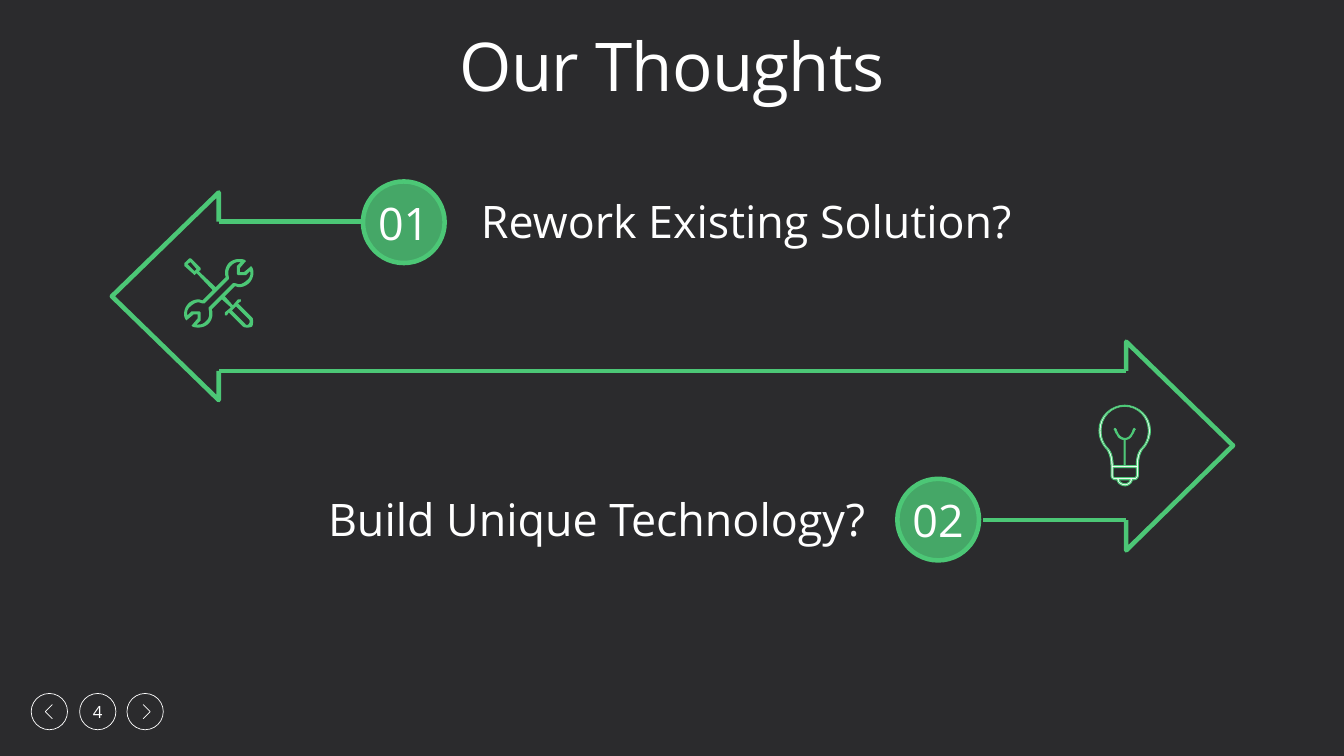
from lxml.etree import SubElement
from pptx import Presentation
from pptx.dml.color import RGBColor
from pptx.enum.shapes import MSO_CONNECTOR, MSO_SHAPE
from pptx.enum.text import MSO_ANCHOR as Anchor, MSO_AUTO_SIZE as AutoSize, PP_ALIGN as Align
from pptx.oxml.ns import qn
from pptx.util import Inches, Pt

GREEN, WHITE, DARK = "4CC776", "FFFFFF", "2B2B2D"

color = RGBColor.from_string
deck = Presentation()
deck.slide_width, deck.slide_height = Inches(13.33), Inches(7.5)
page = deck.slides.add_slide(deck.slide_layouts[5])
page.background.fill.solid()
page.background.fill.fore_color.rgb = color(DARK)
shapes = page.shapes


def write(box, text, size, align=Align.CENTER, anchor=Anchor.MIDDLE, spacing=None,
          wrap=True, margins=(0.1, 0.05, 0.1, 0.05), tracking=None):
    """Set one formatted line of text; margins are left, top, right, bottom."""
    frame = box.text_frame
    frame.word_wrap, frame.auto_size, frame.vertical_anchor = wrap, AutoSize.NONE, anchor
    (frame.margin_left, frame.margin_top,
     frame.margin_right, frame.margin_bottom) = map(Inches, margins)
    para = frame.paragraphs[0]
    para.alignment, para.line_spacing = align, spacing
    span = para.add_run()
    span.text = text
    span.font.name, span.font.size = "Open Sans", Pt(size)
    span.font.color.rgb = color(WHITE)
    if tracking is not None:
        span._r.get_or_add_rPr().set("spc", str(tracking))


def draw_outline(contours, close=True, fill=None, line=None, width=0.5):
    """Draw contours of (x, y) points and (x1, y1, x2, y2, x, y) curves as one shape."""
    builder = None
    for contour in contours:
        points = [contour[0]]
        for step in contour[1:]:
            if len(step) == 2:
                points.append(step)
                continue
            start, first, second, end = points[-1], step[:2], step[2:4], step[4:]
            for t in (i / 8 for i in range(1, 9)):
                points.append(tuple(
                    (1 - t) ** 3 * a + 3 * (1 - t) ** 2 * t * b + 3 * (1 - t) * t ** 2 * c + t ** 3 * d
                    for a, b, c, d in zip(start, first, second, end)))
        spots = [(Inches(x), Inches(y)) for x, y in points]
        if builder is None:
            builder = shapes.build_freeform(*spots[0], scale=1.0)
        else:
            builder.move_to(*spots[0])
        builder.add_line_segments(spots[1:], close=close)
    shape = builder.convert_to_shape()
    shape.shadow.inherit = False
    if fill:
        shape.fill.solid()
        shape.fill.fore_color.rgb = color(fill)
    else:
        shape.fill.background()
    if line:
        shape.line.color.rgb = color(line)
        shape.line.width = Pt(width)
    else:
        shape.line.fill.background()


# Title
title = shapes.title
title.left, title.top, title.width, title.height = map(Inches, (1, 0.31, 11.33, 0.89))
write(title, "Our Thoughts", 48, anchor=Anchor.TOP, spacing=0.86, tracking=-50)

# Page navigation
for left, label in ((0.31, None), (0.79, "4"), (1.26, None)):
    ring = shapes.add_shape(MSO_SHAPE.OVAL, Inches(left), Inches(6.88), Inches(0.36), Inches(0.36))
    ring.shadow.inherit = False
    ring.fill.background()
    ring.line.color.rgb = color(WHITE)
    ring.line.width = Pt(0.5)
    if label:
        write(ring, label, 12, wrap=False)
for base, tip in ((0.52, 0.45), (1.42, 1.49)):
    draw_outline([[(base, 7.13), (tip, 7.06), (base, 6.99)]], close=False, line=WHITE)

# Two interlocking arrows
draw_outline([[(2.17, 2.2), (2.17, 1.91), (1.11, 2.94), (2.17, 3.97), (2.17, 3.68)]],
             close=False, line=GREEN, width=3.25)
draw_outline([[(11.17, 5.16), (11.17, 5.46), (12.23, 4.42), (11.17, 3.39), (11.17, 3.68)]],
             close=False, line=GREEN, width=3.25)
for start, end, y in ((2.17, 3.58, 2.2), (2.17, 11.17, 3.68), (9.75, 11.17, 5.16)):
    shaft = shapes.add_connector(MSO_CONNECTOR.STRAIGHT, Inches(start), Inches(y), Inches(end), Inches(y))
    shaft.line.color.rgb = color(GREEN)
    shaft.line.width = Pt(3.25)
    SubElement(shaft._element.spPr, qn("a:effectLst"))

# Numbered options
options = (
    ("01", 3.6, 1.8, "Rework Existing Solution?", 4.64, 1.94, Align.LEFT),
    ("02", 8.9, 4.75, "Build Unique Technology?", 2.83, 4.89, Align.RIGHT),
)
for number, left, top, text, text_left, text_top, align in options:
    badge = shapes.add_shape(MSO_SHAPE.OVAL, Inches(left), Inches(top), Inches(0.81), Inches(0.81))
    badge.shadow.inherit = False
    badge.fill.solid()
    badge.fill.fore_color.rgb = color(GREEN)
    tint = badge._element.spPr.find(qn("a:solidFill"))[0]
    SubElement(tint, qn("a:alpha")).set("val", "80000")
    badge.line.color.rgb = color(GREEN)
    badge.line.width = Pt(3.25)
    write(badge, number, 32, wrap=False)
    box = shapes.add_textbox(Inches(text_left), Inches(text_top), Inches(5.95), Inches(0.6))
    write(box, text, 32, align=align, anchor=Anchor.TOP, spacing=0.89,
          margins=(0.13, 0.05, 0.19, 0.07))

# Wrench and screwdriver: each wrench end is the other turned by half a circle
wrench_end = [
    (2.23, 2.94), (2.33, 2.84), (2.34, 2.84, 2.36, 2.85, 2.37, 2.85),
    (2.41, 2.85, 2.45, 2.83, 2.47, 2.81), (2.51, 2.77, 2.53, 2.7, 2.5, 2.65),
    (2.49, 2.64), (2.48, 2.65), (2.42, 2.7), (2.38, 2.7), (2.38, 2.66), (2.43, 2.6),
    (2.44, 2.59), (2.43, 2.58), (2.41, 2.57, 2.39, 2.57, 2.37, 2.57),
    (2.34, 2.57, 2.3, 2.58, 2.27, 2.61), (2.24, 2.64, 2.22, 2.7, 2.24, 2.75), (2.14, 2.85),
]
wrench_hollow = [
    (2.27, 2.77), (2.27, 2.75), (2.26, 2.71, 2.26, 2.66, 2.3, 2.63),
    (2.32, 2.61, 2.34, 2.6, 2.37, 2.6), (2.39, 2.6), (2.35, 2.64), (2.35, 2.72),
    (2.36, 2.73), (2.43, 2.73), (2.44, 2.73), (2.48, 2.69),
    (2.49, 2.72, 2.48, 2.76, 2.45, 2.78), (2.43, 2.8, 2.4, 2.82, 2.37, 2.82),
    (2.36, 2.82, 2.34, 2.81, 2.33, 2.81), (2.31, 2.81),
]
turned_end, turned_hollow = (
    [tuple(round((4.34, 5.82)[i % 2] - value, 2) for i, value in enumerate(step)) for step in half]
    for half in (wrench_end, wrench_hollow))
blade = [(1.97, 2.69), (1.99, 2.68), (1.99, 2.66), (1.9, 2.57), (1.89, 2.56, 1.88, 2.56, 1.87, 2.57),
         (1.83, 2.61), (1.83, 2.64), (1.92, 2.72), (1.93, 2.73), (1.94, 2.72), (1.95, 2.71)]
handle = [(2.29, 3.05), (2.23, 3.1), (2.23, 3.13), (2.25, 3.13), (2.27, 3.1), (2.41, 3.24),
          (2.42, 3.25, 2.44, 3.25, 2.45, 3.25), (2.47, 3.25, 2.48, 3.25, 2.5, 3.24),
          (2.51, 3.22, 2.51, 3.21, 2.51, 3.19), (2.51, 3.17, 2.51, 3.16, 2.5, 3.15),
          (2.36, 3.01), (2.39, 2.99), (2.39, 2.97), (2.36, 2.97), (2.31, 3.03)]
blade_hollow = [(1.93, 2.69), (1.86, 2.62), (1.89, 2.6), (1.95, 2.67)]
handle_hollow = [(2.47, 3.21), (2.46, 3.23, 2.44, 3.23, 2.43, 3.21), (2.3, 3.08), (2.34, 3.04),
                 (2.47, 3.17), (2.48, 3.18, 2.48, 3.2, 2.47, 3.21)]
draw_outline([wrench_end + blade + turned_end + handle, wrench_hollow + turned_hollow,
              blade_hollow, handle_hollow], fill=GREEN)

# Light bulb: left halves of the rim, the glass, the socket and the cap
bulb_axis = 11.155
bulb_halves = [
    [(11.16, 4.02), (11.02, 4.02, 10.9, 4.13, 10.9, 4.27), (10.9, 4.34, 10.93, 4.41, 10.98, 4.46),
     (10.99, 4.48, 11.02, 4.52, 11.02, 4.63), (11.02, 4.72), (11.02, 4.74, 11.04, 4.76, 11.06, 4.76),
     (11.08, 4.76), (11.08, 4.79, 11.12, 4.82, 11.16, 4.82)],
    [(11.16, 4.03), (11.02, 4.03, 10.92, 4.14, 10.92, 4.27), (10.92, 4.34, 10.94, 4.4, 10.99, 4.45),
     (11.01, 4.47, 11.04, 4.52, 11.04, 4.62), (11.15, 4.62), (11.15, 4.36),
     (11.12, 4.36, 11.09, 4.34, 11.08, 4.31), (11.06, 4.29, 11.06, 4.26, 11.05, 4.26),
     (11.06, 4.25), (11.07, 4.26), (11.07, 4.26, 11.09, 4.35, 11.16, 4.35)],
    [(11.16, 4.64), (11.04, 4.64), (11.04, 4.72), (11.04, 4.73, 11.05, 4.74, 11.06, 4.74), (11.16, 4.74)],
    [(11.16, 4.76), (11.1, 4.76), (11.1, 4.78, 11.13, 4.8, 11.16, 4.8)],
]
bulb = []
for half in bulb_halves:
    # Walk the half backwards on the right: each curve swaps its ends and its handles
    mirrored = []
    for step, before in zip(half[:0:-1], half[-2::-1]):
        route = step[2:4] + step[:2] + before[-2:] if len(step) == 6 else before[-2:]
        mirrored.append(tuple(value if i % 2 else 2 * bulb_axis - value for i, value in enumerate(route)))
    bulb.append(half + mirrored)
draw_outline(bulb, fill=WHITE, line=GREEN, width=0.75)

deck.save("out.pptx")
